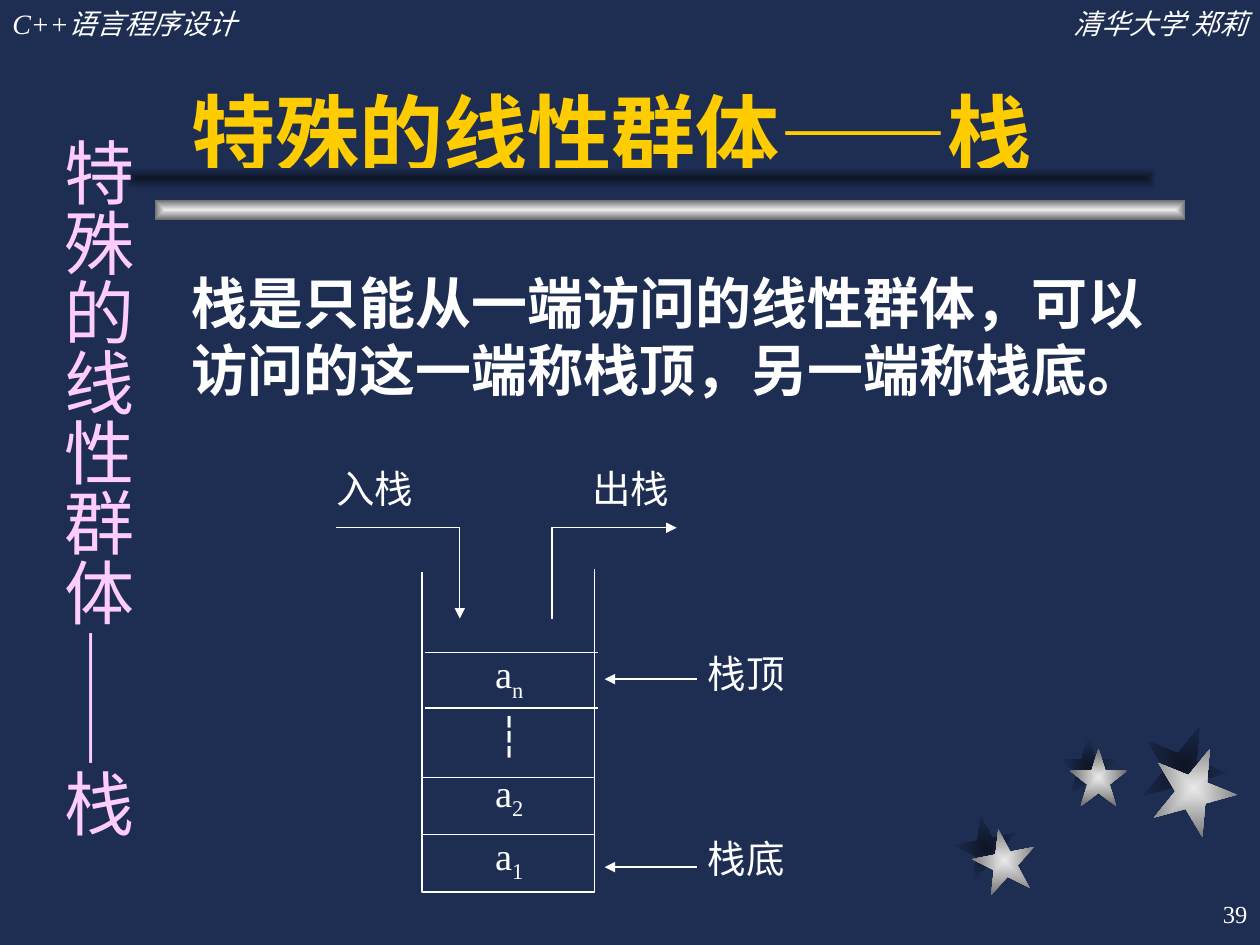
from dataclasses import dataclass, field
from itertools import product
from lxml import etree
from pptx import Presentation
from pptx.dml.color import RGBColor
from pptx.enum.shapes import MSO_CONNECTOR, MSO_SHAPE
from pptx.enum.text import MSO_ANCHOR, PP_ALIGN
from pptx.oxml import parse_xml
from pptx.oxml.ns import qn
from pptx.util import Cm, Pt

LEFT, MID = PP_ALIGN.LEFT, PP_ALIGN.CENTER
RIGHT, JUST = PP_ALIGN.RIGHT, PP_ALIGN.JUSTIFY
TOP, CENTER, BOTTOM = MSO_ANCHOR.TOP, MSO_ANCHOR.MIDDLE, MSO_ANCHOR.BOTTOM
RECT, STAR = MSO_SHAPE.RECTANGLE, MSO_SHAPE.STAR_5_POINT
LINE = MSO_CONNECTOR.STRAIGHT
NAVY, DARK, WHITE = "1E2E53", "0E1526", "FFFFFF"
GOLD, PINK, PALE, GREY = "FFCC00", "FFCCFF", "EAEAEA", "6C6C6C"
TIMES, SANS, HAN = "Times New Roman", "Arial", "Noto Sans CJK SC"
SHADE, METAL = (DARK, NAVY), (PALE, GREY)
NS = "http://schemas.openxmlformats.org/drawingml/2006/main"


@dataclass
class Note:
    lines: list[str]
    box: tuple
    size: int
    color: str = WHITE
    face: str = TIMES
    anchor: int = TOP
    pad: tuple = (0.25, 0.13)
    wrap: bool = True
    upright: bool = False
    para: dict = field(default_factory=dict)
    style: dict = field(default_factory=dict)


@dataclass
class Solid:
    kind: int
    box: tuple
    tones: tuple
    turn: int = 0


def paint(code: str) -> RGBColor:
    return RGBColor.from_string(code)


def cms(vals: tuple) -> list:
    return [Cm(v) for v in vals]


def write(frame, note: Note) -> None:
    side, edge = cms(note.pad)
    form = {"margin_left": side, "margin_right": side, "margin_top": edge,
            "margin_bottom": edge, "word_wrap": note.wrap,
            "vertical_anchor": note.anchor}
    for key, val in form.items():
        setattr(frame, key, val)
    if note.upright:
        frame._txBody.bodyPr.set("vert", "eaVert")
    for num, line in enumerate(note.lines):
        para = frame.add_paragraph() if num else frame.paragraphs[0]
        for key, val in note.para.items():
            setattr(para, key, val)
        base, _, sub = line.partition("_")
        for text, drop in ((base, "0"), (sub, "-25000")):
            if not text:
                continue
            run = para.add_run()
            run.text = text
            look = {"size": Pt(note.size), "name": note.face, **note.style}
            for key, val in look.items():
                setattr(run.font, key, val)
            run.font.color.rgb = paint(note.color)
            props = run.font._element
            props.set("baseline", drop)
            props.find(qn("a:latin")).addnext(
                parse_xml(f'<a:ea xmlns:a="{NS}" typeface="{HAN}"/>'))


def put(shapes, note: Note) -> None:
    write(shapes.add_textbox(*cms(note.box)).text_frame, note)


def mold(shapes, item: Solid) -> None:
    shape = shapes.add_shape(item.kind, *cms(item.box))
    shape.shadow.inherit = False
    shape.rotation = item.turn
    shape.line.fill.background()
    shape.fill.background()
    near, far = item.tones
    blend = parse_xml(
        f'<a:gradFill xmlns:a="{NS}" rotWithShape="1"><a:gsLst>'
        f'<a:gs pos="0"><a:srgbClr val="{near}"/></a:gs>'
        f'<a:gs pos="100000"><a:srgbClr val="{far}"/></a:gs></a:gsLst>'
        '<a:path path="rect"><a:fillToRect l="50000" t="50000" r="50000" '
        'b="50000"/></a:path></a:gradFill>')
    props = shape.element.spPr
    props.replace(props.find(qn("a:noFill")), blend)


def ink(shape, arrow: bool) -> None:
    shape.line.color.rgb = paint(WHITE)
    shape.line.width = Pt(0.75)
    if arrow:
        etree.SubElement(shape.line._ln, qn("a:tailEnd"), type="triangle")


def rule(shapes, ends: tuple, arrow: bool = False) -> None:
    line = shapes.add_connector(LINE, *cms(ends))
    ink(line, arrow)
    etree.SubElement(line.element.spPr, qn("a:effectLst"))


def trace(shapes, dots: list, arrow: bool = False) -> None:
    first, *rest = [cms(dot) for dot in dots]
    pen = shapes.build_freeform(*first)
    pen.add_line_segments(rest, close=False)
    shape = pen.convert_to_shape()
    shape.shadow.inherit = False
    shape.fill.background()
    ink(shape, arrow)


STARS = [
    Solid(STAR, (19.25, 16.43, 1.27, 1.27), SHADE, 349),
    Solid(STAR, (21.36, 14.86, 1.17, 1.17), SHADE),
    Solid(STAR, (23.01, 14.6, 1.7, 1.7), SHADE, 22),
    Solid(STAR, (19.61, 16.71, 1.27, 1.27), METAL, 349),
    Solid(STAR, (21.56, 15.09, 1.17, 1.17), METAL),
    Solid(STAR, (23.22, 15.04, 1.7, 1.7), METAL, 22),
]
BARS = [
    Solid(RECT, (3.12, 4.03, 20.78, 0.4), METAL),
    Solid(RECT, (2.54, 3.38, 20.78, 0.43), SHADE),
]
HEAD = Note(["特殊的线性群体——栈"], (3.61, 0.63, 19.89, 3.18), 48, GOLD, SANS,
            BOTTOM, para={"alignment": LEFT}, style={"bold": True})
NOTES = [
    Note(["C++语言程序设计"], (0, 0, 7.82, 0.94), 16,
         para={"space_before": Pt(10)}, style={"italic": True}),
    Note(["清华大学 郑莉"], (17.58, 0, 7.82, 0.94), 16,
         para={"alignment": RIGHT, "space_before": Pt(10)},
         style={"italic": True}),
    Note(["39"], (20.12, 17.78, 5.28, 1.27), 14, anchor=CENTER, wrap=False,
         para={"alignment": RIGHT}),
    Note(["栈是只能从一端访问的线性群体，可以访问的这一端称栈顶，另一端称栈底。"],
         (3.61, 5.28, 20.12, 4.88), 32, face=SANS,
         para={"space_before": Pt(8)}, style={"bold": True}),
    Note(["a_n", "┆", "a_2", "a_1"], (8.69, 12.9, 3.15, 5.05), 22, pad=(0, 0),
         para={"alignment": MID, "line_spacing": 1.2}),
    Note(["特殊的线性群体——栈"], (0.76, 2.54, 2.18, 14.6), 40, PINK,
         pad=(0.13, 0.25), upright=True, para={"space_before": Pt(25)}),
]
TAGS = [
    ("入栈", (6.78, 9.37, 2.39, 1.09)),
    ("出栈", (11.94, 9.37, 2.39, 1.09)),
    ("栈顶", (14.27, 13.11, 4.14, 1.17)),
    ("栈底", (14.27, 16.84, 4.14, 1.17)),
]
WELL = [(8.51, 11.53), (8.51, 17.98), (11.99, 17.98), (11.99, 11.48)]
PUSH = [(6.78, 10.64), (9.27, 10.64), (9.27, 12.47)]
POP = [(11.13, 12.47), (11.13, 10.64), (13.64, 10.64)]
CELLS = [*product([(8.56, 12.06)], (13.16, 14.27)),
         *product([(8.51, 11.99)], (15.67, 16.83))]


def main() -> None:
    deck = Presentation()
    deck.slide_width, deck.slide_height = Cm(25.4), Cm(19.05)
    slide = deck.slides.add_slide(deck.slide_layouts[5])
    slide.background.fill.solid()
    slide.background.fill.fore_color.rgb = paint(NAVY)
    shapes = slide.shapes
    for item in STARS + BARS:
        mold(shapes, item)
    title = shapes.title
    for key, val in zip(("left", "top", "width", "height"), cms(HEAD.box)):
        setattr(title, key, val)
    write(title.text_frame, HEAD)
    for note in NOTES:
        put(shapes, note)
    for text, box in TAGS:
        put(shapes, Note([text], box, 22, pad=(0, 0),
                         para={"alignment": JUST}))
    trace(shapes, WELL)
    for dots in (PUSH, POP):
        trace(shapes, dots, arrow=True)
    for (start, end), y in CELLS:
        rule(shapes, (start, y, end, y))
    for y in (13.69, 17.48):
        rule(shapes, (14.05, y, 12.19, y), arrow=True)
    deck.save("out.pptx")


if __name__ == "__main__":
    main()
